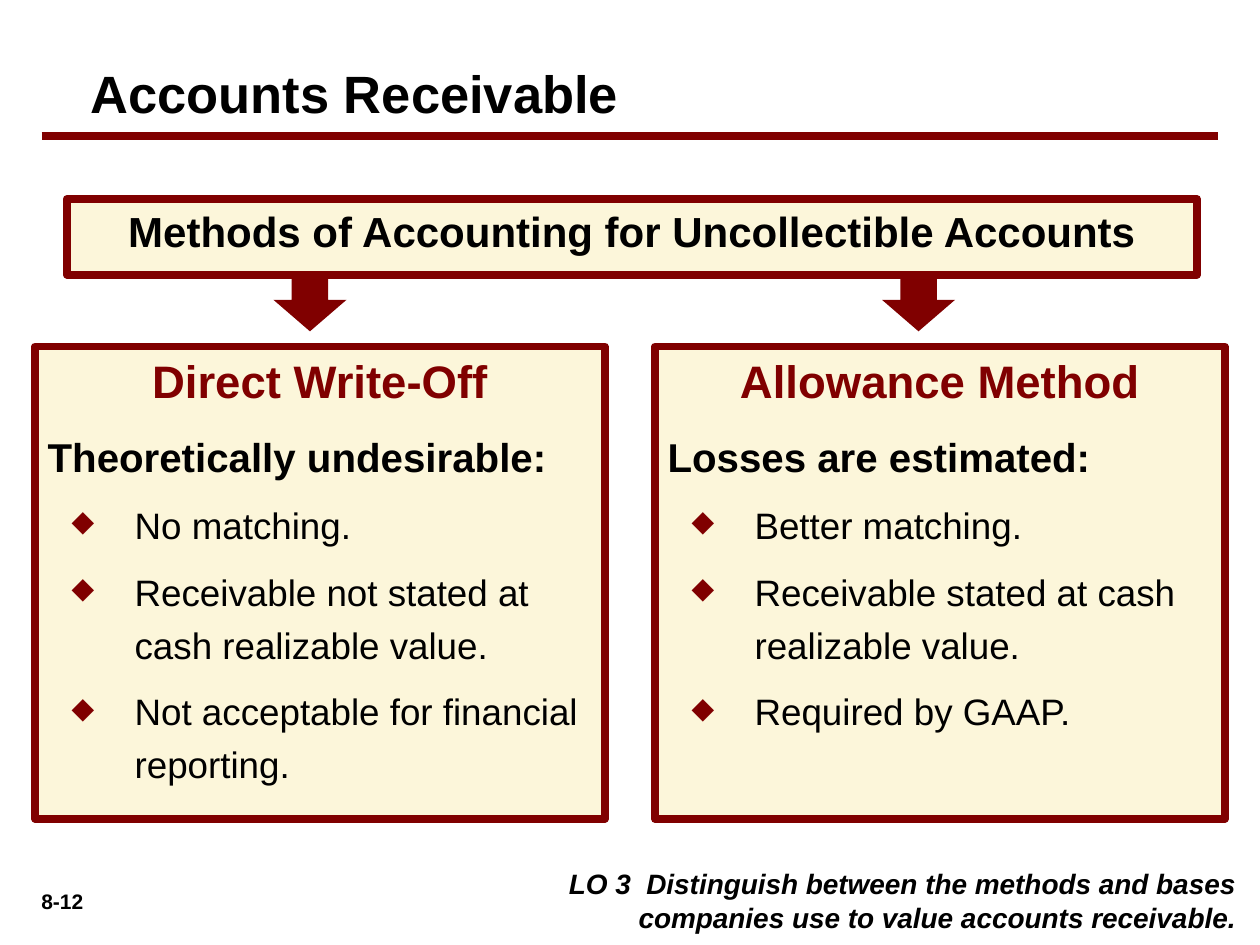
"""Build the slide comparing two methods of accounting for uncollectible accounts."""
from dataclasses import dataclass

import lxml.etree
import pptx
import pptx.dml.color
import pptx.enum.shapes
import pptx.enum.text
import pptx.oxml.ns
import pptx.util

MAROON = pptx.dml.color.RGBColor(0x80, 0x00, 0x00)
CREAM = pptx.dml.color.RGBColor(0xFC, 0xF6, 0xDA)
WHITE = pptx.dml.color.RGBColor(0xFF, 0xFF, 0xFF)
BLACK = pptx.dml.color.RGBColor(0x00, 0x00, 0x00)
SHAPE = pptx.enum.shapes.MSO_SHAPE
ALIGN = pptx.enum.text.PP_ALIGN
ANCHOR = pptx.enum.text.MSO_ANCHOR

WIDTH, HEIGHT = pptx.util.Inches(10), pptx.util.Inches(7.5)
COL, ROW = WIDTH / 100, HEIGHT / 75
RULE_WIDTH = pptx.util.Pt(4.5)


@dataclass(frozen=True)
class Box:
    """A rectangle in grid columns and rows."""

    left: float
    top: float
    width: float
    height: float

    def emu(self) -> tuple[int, int, int, int]:
        """Return the rectangle in slide units."""
        return (round(self.left * COL), round(self.top * ROW),
                round(self.width * COL), round(self.height * ROW))


@dataclass(frozen=True)
class Line:
    """One paragraph and its format; indents are in grid columns."""

    text: str
    size: float
    align: ALIGN = ALIGN.LEFT
    color: pptx.dml.color.RGBColor = BLACK
    bold: bool = True
    italic: bool = False
    before: float = 0
    spacing: float = 1
    margin: float = 0
    indent: float = 0
    bullet: str = ""


@dataclass(frozen=True)
class Method:
    """One accounting method with its panel and arrow positions."""

    left: float
    arrow_left: float
    name: str
    claim: str
    points: tuple[str, ...]


METHODS = (
    Method(2.8, 21.7, "Direct Write-Off", "Theoretically undesirable:",
           ("No matching.",
            "Receivable not stated at cash realizable value.",
            "Not acceptable for financial reporting.")),
    Method(52, 70, "Allowance Method", "Losses are estimated:",
           ("Better matching.",
            "Receivable stated at cash realizable value.",
            "Required by GAAP.")),
)


def add_bullet(pPr, char: str) -> None:
    """Give a paragraph a small maroon bullet."""
    def child(parent, tag: str, **attrs: str):
        return lxml.etree.SubElement(parent, pptx.oxml.ns.qn(tag), attrs)

    child(child(pPr, "a:buClr"), "a:srgbClr", val=str(MAROON))
    child(pPr, "a:buSzPct", val="80000")
    child(pPr, "a:buChar", char=char)


def write(s, lines: list[Line], anchor: ANCHOR = ANCHOR.TOP) -> None:
    """Fill a shape with paragraphs."""
    tf = s.text_frame
    tf.word_wrap = True
    tf.vertical_anchor = anchor
    for i, line in enumerate(lines):
        p = tf.add_paragraph() if i else tf.paragraphs[0]
        p.text = line.text
        p.alignment = line.align
        p.line_spacing = line.spacing
        p.space_before = pptx.util.Pt(line.before)
        pPr = p._p.get_or_add_pPr()
        pPr.set("marL", str(round(line.margin * COL)))
        pPr.set("indent", str(round(line.indent * COL)))
        if line.bullet:
            add_bullet(pPr, line.bullet)
        p.font.name = "Arial"
        p.font.size = pptx.util.Pt(line.size)
        p.font.bold = line.bold
        p.font.italic = line.italic
        p.font.color.rgb = line.color


def add_block(slide, kind: SHAPE, box: Box, fill: pptx.dml.color.RGBColor,
              outlined: bool = False):
    """Add a flat filled shape, with a maroon outline on request."""
    s = slide.shapes.add_shape(kind, *box.emu())
    s.shadow.inherit = False
    s.fill.solid()
    s.fill.fore_color.rgb = fill
    if outlined:
        s.line.color.rgb = MAROON
        s.line.width = RULE_WIDTH
    else:
        s.line.fill.background()
    return s


def add_rule(slide, left: float, right: float, top: float) -> None:
    """Add the maroon rule under the title."""
    y = round(top * ROW)
    s = slide.shapes.add_connector(pptx.enum.shapes.MSO_CONNECTOR.STRAIGHT,
                                   round(left * COL), y, round(right * COL), y)
    s.line.color.rgb = MAROON
    s.line.width = RULE_WIDTH
    lxml.etree.SubElement(s._element.spPr, pptx.oxml.ns.qn("a:effectLst"))


def add_method(slide, method: Method) -> None:
    """Add the panel of one accounting method."""
    panel = add_block(slide, SHAPE.RECTANGLE, Box(method.left, 27.5, 45.2, 37.5), CREAM, True)
    write(panel, [
        Line(method.name, 26, ALIGN.CENTER, MAROON),
        Line(method.claim, 23, before=8.6, spacing=1.2),
        *(Line(point, 21, bold=False, before=7.9, spacing=1.2,
               margin=6.9, indent=-5, bullet="◆") for point in method.points),
    ])


def main() -> None:
    """Build and save the slide."""
    prs = pptx.Presentation()
    prs.slide_width, prs.slide_height = WIDTH, HEIGHT
    slide = prs.slides.add_slide(prs.slide_layouts[6])

    number = slide.shapes.add_textbox(*Box(0.8, 70, 8.3, 3).emu())
    write(number, [Line("8-12", 12, ALIGN.CENTER)])

    for method in METHODS:
        add_block(slide, SHAPE.DOWN_ARROW, Box(method.arrow_left, 21.3, 5.8, 5), MAROON)
    header = add_block(slide, SHAPE.RECTANGLE, Box(5.3, 15.8, 89.7, 6), CREAM, True)
    write(header, [Line("Methods of Accounting for Uncollectible Accounts", 24,
                        ALIGN.CENTER, margin=3.8, indent=-3.8)])
    for method in METHODS:
        add_method(slide, method)

    title = slide.shapes.add_textbox(*Box(5, 4.2, 90, 6.1).emu())
    write(title, [Line("Accounts Receivable", 30, margin=1.2)], ANCHOR.BOTTOM)
    add_rule(slide, 3.3, 96.7, 10.8)

    objective = add_block(slide, SHAPE.RECTANGLE, Box(40.8, 68.3, 58.3, 6.4), WHITE)
    write(objective, [Line("LO 3  Distinguish between the methods and bases "
                           "companies use to value accounts receivable.", 16,
                           ALIGN.RIGHT, italic=True, margin=5, indent=-5)])
    prs.save("out.pptx")


if __name__ == "__main__":
    main()
